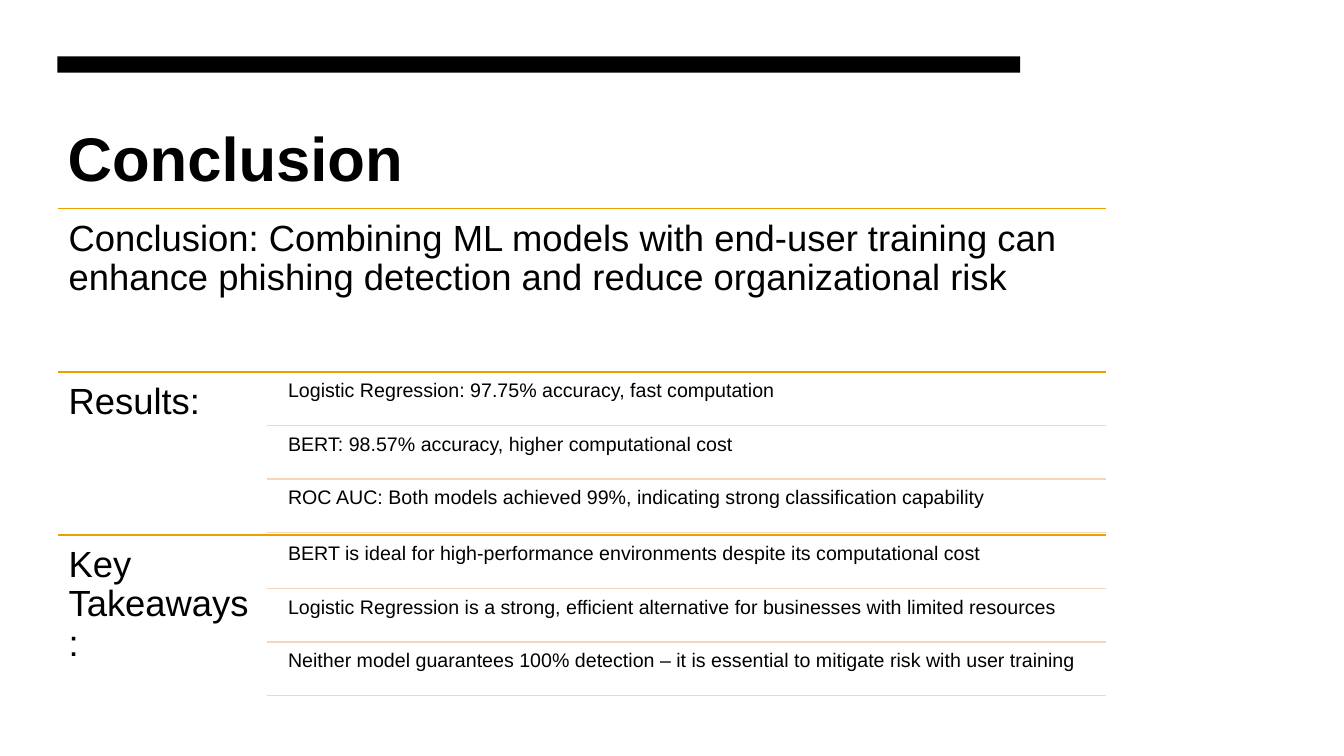
from lxml.etree import SubElement
from pptx import Presentation
from pptx.dml.color import RGBColor
from pptx.enum.shapes import MSO_CONNECTOR, MSO_SHAPE
from pptx.enum.text import MSO_ANCHOR, MSO_AUTO_SIZE, PP_ALIGN
from pptx.oxml.ns import qn
from pptx.util import Cm, Pt

BLACK = RGBColor(0x00, 0x00, 0x00)
WHITE = RGBColor(0xFF, 0xFF, 0xFF)
GOLD = RGBColor(0xEB, 0xA0, 0x00)
PEACH = RGBColor(0xF5, 0xD6, 0xBD)

LEFT = Cm(1.45)
WIDTH = Cm(26.42)
SECTIONS_TOP = Cm(5.26)
SECTION_HEIGHT = Cm(4.11)
LABEL_WIDTH = Cm(5.28)
LABEL_INSET = Cm(0.28)
FINDING_INDENT = Cm(0.38)
FINDING_OFFSET = Cm(0.07)
FINDING_HEIGHT = Cm(1.28)
FINDING_PITCH = Cm(1.35)
FINDING_INSET = Cm(0.15)

SECTIONS = [
    ("Conclusion: Combining ML models with end-user training can enhance "
     "phishing detection and reduce organizational risk", []),
    ("Results:", [
        "Logistic Regression: 97.75% accuracy, fast computation",
        "BERT: 98.57% accuracy, higher computational cost",
        "ROC AUC: Both models achieved 99%, indicating strong classification capability",
    ]),
    ("Key Takeaways:", [
        "BERT is ideal for high-performance environments despite its computational cost",
        "Logistic Regression is a strong, efficient alternative for businesses "
        "with limited resources",
        "Neither model guarantees 100% detection – it is essential to mitigate "
        "risk with user training",
    ]),
]


def style_paragraph(paragraph, size, bold=False):
    """Apply the slide's black Arial to a paragraph."""
    paragraph.font.name = "Arial"
    paragraph.font.size = Pt(size)
    paragraph.font.bold = bold
    paragraph.font.color.rgb = BLACK


def add_rule(shapes, left, top, width, color):
    """Draw a thin horizontal rule."""
    rule = shapes.add_connector(MSO_CONNECTOR.STRAIGHT, left, top, left + width, top)
    rule.line.color.rgb = color
    rule.line.width = Pt(1)
    SubElement(rule._element.spPr, qn("a:effectLst"))


def add_text(shapes, left, top, width, height, text, size, inset):
    """Place a wrapped, top-anchored text with equal insets."""
    frame = shapes.add_textbox(left, top, width, height).text_frame
    frame.word_wrap = True
    frame.vertical_anchor = MSO_ANCHOR.TOP
    frame.margin_left = frame.margin_right = inset
    frame.margin_top = frame.margin_bottom = inset
    paragraph = frame.paragraphs[0]
    paragraph.text = text
    paragraph.line_spacing = 0.9
    style_paragraph(paragraph, size)


def add_title(slide, left, top, width, height):
    """Fill and place the slide title."""
    title = slide.shapes.title
    title.left, title.top, title.width, title.height = left, top, width, height
    frame = title.text_frame
    frame.text = "Conclusion"
    frame.auto_size = MSO_AUTO_SIZE.NONE
    frame.vertical_anchor = MSO_ANCHOR.TOP
    frame.margin_top = Cm(0.31)
    heading = frame.paragraphs[0]
    heading.alignment = PP_ALIGN.LEFT
    style_paragraph(heading, 44, bold=True)


def add_section(shapes, left, top, width, height, label, findings):
    """Draw a ruled section: a label with its findings to the right."""
    add_rule(shapes, left, top, width, GOLD)
    label_width = LABEL_WIDTH if findings else width
    add_text(shapes, left, top, label_width, height, label, 26, LABEL_INSET)
    findings_left = left + LABEL_WIDTH
    findings_width = width - LABEL_WIDTH
    for index, finding in enumerate(findings):
        finding_top = top + FINDING_OFFSET + index * FINDING_PITCH
        add_text(shapes, findings_left + FINDING_INDENT, finding_top,
                 findings_width - FINDING_INDENT, FINDING_HEIGHT,
                 finding, 14, FINDING_INSET)
        add_rule(shapes, findings_left, finding_top + FINDING_HEIGHT,
                 findings_width, PEACH)


def add_top_bar(slide, left, top, width, height):
    """Draw the solid bar above the title."""
    bar = slide.shapes.add_shape(MSO_SHAPE.RECTANGLE, left, top, width, height)
    bar.shadow.inherit = False
    bar.fill.solid()
    bar.fill.fore_color.rgb = BLACK
    bar.line.fill.background()


def build_conclusion(presentation):
    """Build the conclusion slide."""
    slide = presentation.slides.add_slide(presentation.slide_layouts[5])
    slide.background.fill.solid()
    slide.background.fill.fore_color.rgb = WHITE
    add_title(slide, LEFT, Cm(2.72), Cm(24.13), Cm(4.06))
    summary = slide.shapes.add_group_shape()
    for index, (label, findings) in enumerate(SECTIONS):
        add_section(summary.shapes, LEFT, SECTIONS_TOP + index * SECTION_HEIGHT,
                    WIDTH, SECTION_HEIGHT, label, findings)
    add_top_bar(slide, LEFT, Cm(1.42), Cm(24.26), Cm(0.41))


def main():
    """Create and save the presentation."""
    presentation = Presentation()
    presentation.slide_width = Cm(33.87)
    presentation.slide_height = Cm(19.05)
    build_conclusion(presentation)
    presentation.save("out.pptx")


if __name__ == "__main__":
    main()
